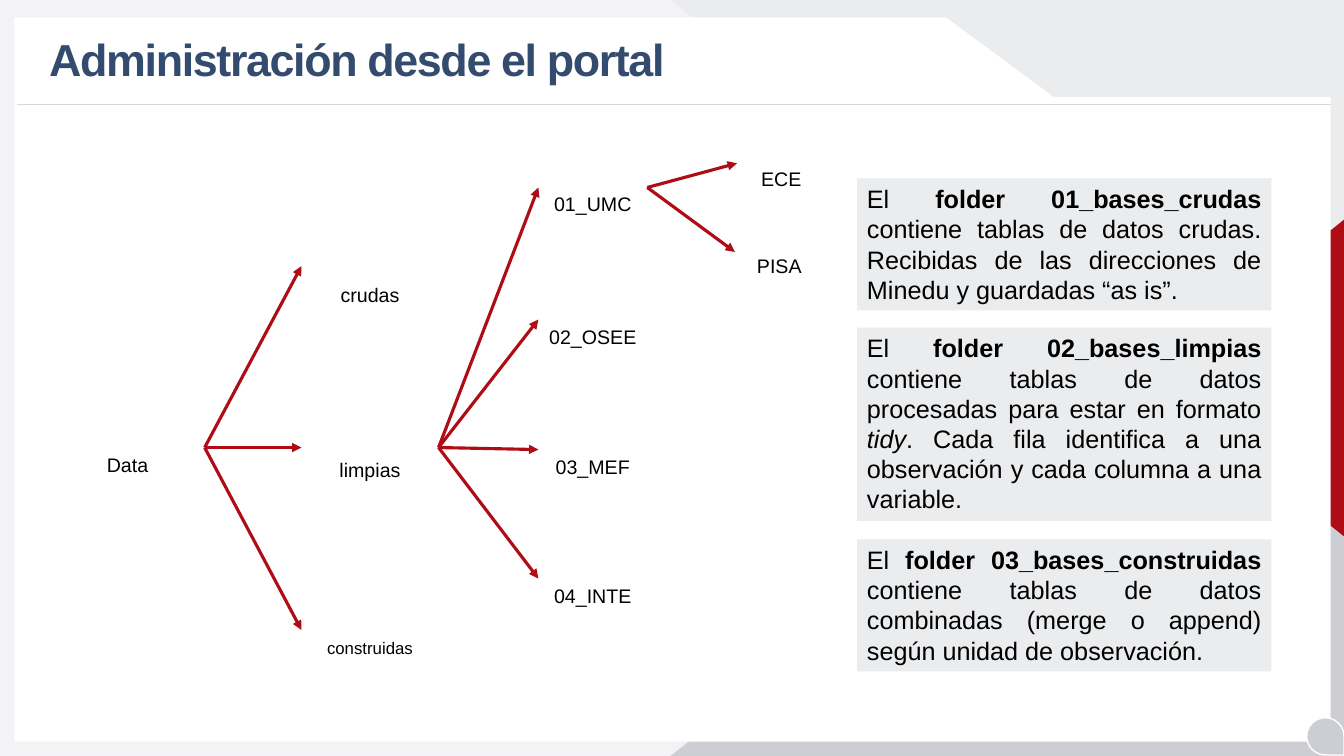
import pptx
import pptx.dml.color
import pptx.enum.shapes
import pptx.enum.text
import pptx.oxml.ns
import pptx.util
from lxml import etree

Inches = pptx.util.Inches
Pt = pptx.util.Pt
RGBColor = pptx.dml.color.RGBColor
Shape = pptx.enum.shapes.MSO_SHAPE
Align = pptx.enum.text.PP_ALIGN
Anchor = pptx.enum.text.MSO_ANCHOR
AutoSize = pptx.enum.text.MSO_AUTO_SIZE
qn = pptx.oxml.ns.qn

WHITE = RGBColor(0xFF, 0xFF, 0xFF)
BLACK = RGBColor(0x00, 0x00, 0x00)
NAVY = RGBColor(0x32, 0x4B, 0x6E)
RED = RGBColor(0xAF, 0x0D, 0x15)
MIST = RGBColor(0xF3, 0xF3, 0xF5)
PALE = RGBColor(0xEB, 0xEC, 0xEE)
SILVER = RGBColor(0xCD, 0xCE, 0xD3)
RULE = RGBColor(0xD9, 0xD9, 0xD9)

PANEL = [(0.15, 0.18), (9.38, 0.18), (10.45, 0.97), (13.19, 0.97),
         (13.19, 7.35), (0.15, 7.35)]

LABELS = [
    ("Data", 0.72, 4.44, 1.09, 14),
    ("crudas", 3.1, 2.76, 1.14, 14),
    ("limpias", 3.1, 4.49, 1.14, 14),
    ("construidas", 3.1, 6.28, 1.14, 12),
    ("01_UMC", 5.31, 1.86, 1.14, 14),
    ("02_OSEE", 5.31, 3.17, 1.14, 14),
    ("03_MEF", 5.31, 4.46, 1.14, 14),
    ("04_INTE", 5.31, 5.74, 1.14, 14),
    ("ECE", 7.18, 1.61, 1.14, 14),
    ("PISA", 7.16, 2.47, 1.14, 14),
]

BRANCHES = [
    ((2.03, 4.44), [(2.99, 2.64), (2.99, 4.44), (2.99, 6.25)]),
    ((4.35, 4.44), [(5.34, 1.86), (5.34, 3.17), (5.34, 4.46), (5.34, 5.74)]),
    ((6.42, 1.86), [(7.31, 1.62), (7.29, 2.5)]),
]

BOLD = {"bold": True}
ITALIC = {"italic": True}
FOLDERS = [
    (1.77, 1.31, [
        ("El ", {}), ("folder 01_bases_crudas ", BOLD),
        ("contiene tablas de datos crudas. Recibidas de las direcciones de "
         "Minedu y guardadas “as is”.", {})]),
    (3.25, 1.92, [
        ("El ", {}), ("folder 02_bases_limpias ", BOLD),
        ("contiene tablas de datos procesadas para estar en formato ", {}),
        ("tidy", ITALIC),
        (". Cada fila identifica a una observación y cada columna a una "
         "variable.", {})]),
    (5.35, 1.31, [
        ("El ", {}), ("folder 03_bases_construidas ", BOLD),
        ("contiene tablas de datos combinadas (merge o append) según unidad "
         "de observación.", {})]),
]


def apply(target, values):
    for name, value in values.items():
        setattr(target, name, value)


def paint(shape, fill, outline=None):
    shape.shadow.inherit = False
    shape.fill.solid()
    shape.fill.fore_color.rgb = fill
    if outline is None:
        shape.line.fill.background()
    else:
        shape.line.color.rgb = outline
        shape.line.width = Pt(1)


def add_block(slide, kind, box, fill, outline=None, rotation=0, peak=None):
    block = slide.shapes.add_shape(kind, *map(Inches, box))
    paint(block, fill, outline)
    block.rotation = rotation
    if peak is not None:
        block.adjustments[0] = peak
    return block


def add_panel(slide):
    corners = [(Inches(x), Inches(y)) for x, y in PANEL]
    builder = slide.shapes.build_freeform(*corners[0])
    builder.add_line_segments(corners[1:], close=True)
    paint(builder.convert_to_shape(), WHITE, WHITE)


def add_line(slide, start, end, color, width, arrow=False):
    line = slide.shapes.add_connector(
        pptx.enum.shapes.MSO_CONNECTOR.STRAIGHT, *map(Inches, start + end))
    line.line.color.rgb = color
    line.line.width = Pt(width)
    if arrow:
        etree.SubElement(line.line._get_or_add_ln(), qn("a:tailEnd"), type="triangle")
    etree.SubElement(line._element.spPr, qn("a:effectLst"))


def write(shape, runs, size, color, alignment, frame_format):
    frame = shape.text_frame
    apply(frame, {"word_wrap": True, **frame_format})
    paragraph = frame.paragraphs[0]
    paragraph.alignment = alignment
    for text, emphasis in runs:
        run = paragraph.add_run()
        run.text = text
        apply(run.font, {"name": "Arial", "size": Pt(size), **emphasis})
        run.font.color.rgb = color
    return paragraph


def add_title(slide, text):
    title = slide.shapes.add_textbox(*map(Inches, (0.39, 0.22, 9.66, 0.79)))
    paragraph = write(title, [(text, BOLD)], 32, NAVY, Align.LEFT,
                      {"vertical_anchor": Anchor.MIDDLE})
    paragraph.line_spacing = 0.9
    paragraph.runs[0].font._element.set("spc", "-100")


def add_label(slide, text, left, top, width, size):
    label = slide.shapes.add_textbox(*map(Inches, (left, top, width, 0.34)))
    write(label, [(text, {})], size, BLACK, Align.CENTER,
          {"auto_size": AutoSize.SHAPE_TO_FIT_TEXT})


def add_folder(slide, top, height, runs):
    folder = add_block(slide, Shape.RECTANGLE, (8.5, top, 4.11, height), PALE)
    write(folder, runs, 18, BLACK, Align.JUSTIFY,
          {"vertical_anchor": Anchor.TOP,
           "auto_size": AutoSize.SHAPE_TO_FIT_TEXT})


def add_backdrop(slide):
    triangle = Shape.ISOSCELES_TRIANGLE
    add_block(slide, Shape.RECTANGLE, (0, 0, 13.33, 7.5), MIST)
    upper = add_block(slide, triangle, (6.65, 0, 6.69, 5.31), PALE, peak=1)
    upper._element.spPr.xfrm.set("flipV", "1")
    add_block(slide, triangle, (6.65, 2.19, 6.69, 5.31), SILVER, peak=1)
    add_block(slide, triangle, (10.78, 2.77, 3.15, 1.96), RED, rotation=270)
    add_panel(slide)
    add_line(slide, (13.2, 1.04), (0.17, 1.04), RULE, 0.5)
    add_block(slide, Shape.TEAR, (12.96, 7.12, 0.37, 0.37), SILVER, WHITE, 90)


def main():
    deck = pptx.Presentation()
    deck.slide_width = Inches(13.33)
    deck.slide_height = Inches(7.5)
    slide = deck.slides.add_slide(deck.slide_layouts[6])
    add_backdrop(slide)
    add_title(slide, "Administración desde el portal")
    for label in LABELS:
        add_label(slide, *label)
    for origin, tips in BRANCHES:
        for tip in tips:
            add_line(slide, origin, tip, RED, 2.25, arrow=True)
    for folder in FOLDERS:
        add_folder(slide, *folder)
    deck.save("out.pptx")


if __name__ == "__main__":
    main()
